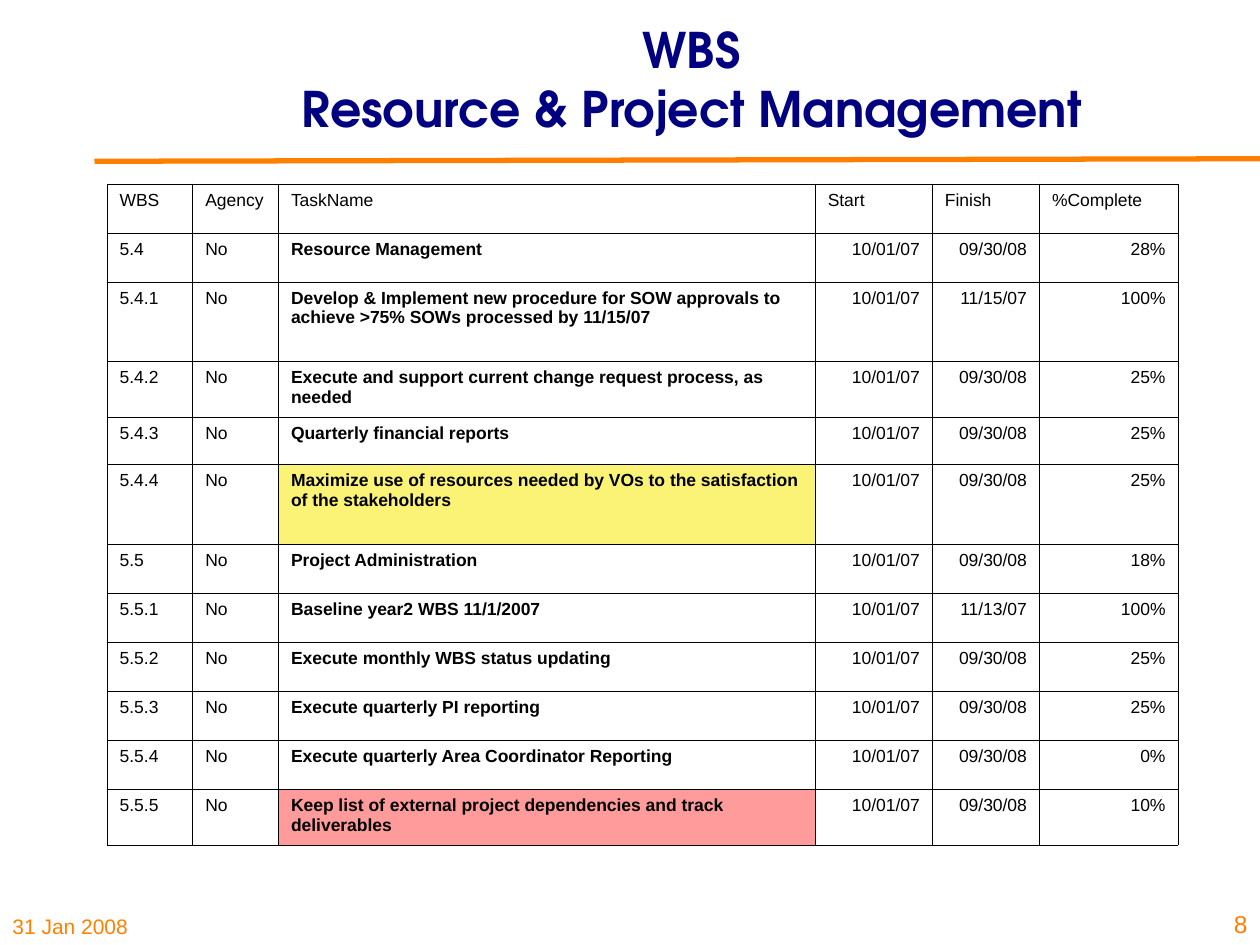
from lxml.etree import SubElement
from pptx import Presentation
from pptx.dml.color import RGBColor
from pptx.enum.shapes import MSO_CONNECTOR
from pptx.enum.text import MSO_ANCHOR, PP_ALIGN
from pptx.oxml.ns import qn
from pptx.util import Inches, Pt

ORANGE = RGBColor(0xFF, 0x80, 0x00)
NAVY = RGBColor(0x00, 0x00, 0x80)
BLACK = RGBColor(0x00, 0x00, 0x00)
YELLOW = RGBColor(0xFB, 0xF3, 0x76)
PINK = RGBColor(0xFF, 0x9B, 0x9B)

HEADINGS = ("WBS", "Agency", "TaskName", "Start", "Finish", "%Complete")
START = "10/01/07"
YEAR_END = "09/30/08"
# WBS number, task, finish, complete, row height, highlight
TASKS = [
    ("5.4", "Resource Management", YEAR_END, "28%", 0.39, None),
    ("5.4.1", "Develop & Implement new procedure for SOW approvals to "
     "achieve >75% SOWs processed by 11/15/07", "11/15/07", "100%", 0.63, None),
    ("5.4.2", "Execute and support current change request process, as needed",
     YEAR_END, "25%", 0.44, None),
    ("5.4.3", "Quarterly financial reports", YEAR_END, "25%", 0.38, None),
    ("5.4.4", "Maximize use of resources needed by VOs to the satisfaction "
     "of the stakeholders", YEAR_END, "25%", 0.63, YELLOW),
    ("5.5", "Project Administration", YEAR_END, "18%", 0.39, None),
    ("5.5.1", "Baseline year2 WBS 11/1/2007", "11/13/07", "100%", 0.39, None),
    ("5.5.2", "Execute monthly WBS status updating", YEAR_END, "25%", 0.39, None),
    ("5.5.3", "Execute quarterly PI reporting", YEAR_END, "25%", 0.39, None),
    ("5.5.4", "Execute quarterly Area Coordinator Reporting", YEAR_END, "0%", 0.39, None),
    ("5.5.5", "Keep list of external project dependencies and track deliverables",
     YEAR_END, "10%", 0.44, PINK),
]
COLUMN_WIDTHS = (0.68, 0.68, 4.26, 0.93, 0.85, 1.1)
HEADING_HEIGHT = 0.39
TASK_COLUMN = 2


def add_text(page, text, left, top, width, height, size, color,
             font="Arial", bold=False, align=PP_ALIGN.LEFT, anchor=MSO_ANCHOR.BOTTOM):
    box = page.shapes.add_textbox(Inches(left), Inches(top), Inches(width), Inches(height))
    frame = box.text_frame
    frame.word_wrap = True
    frame.vertical_anchor = anchor
    paragraph = frame.paragraphs[0]
    paragraph.text = text
    paragraph.alignment = align
    paragraph.font.name = font
    paragraph.font.size = Pt(size)
    paragraph.font.bold = bold
    paragraph.font.color.rgb = color


def add_borders(cell):
    properties = cell._tc.get_or_add_tcPr()
    for side in ("a:lnL", "a:lnR", "a:lnT", "a:lnB"):
        line = SubElement(properties, qn(side), w=str(Pt(0.45)))
        fill = SubElement(line, qn("a:solidFill"))
        SubElement(fill, qn("a:srgbClr"), val=str(BLACK))


deck = Presentation()
deck.slide_width = Inches(10)
deck.slide_height = Inches(7.5)
page = deck.slides.add_slide(deck.slide_layouts[6])

add_text(page, "31 Jan 2008", 0, 7.08, 2.48, 0.42, 12, ORANGE)

rule = page.shapes.add_connector(
    MSO_CONNECTOR.STRAIGHT, Inches(0.75), Inches(1.28), Inches(10), Inches(1.26))
rule.line.color.rgb = ORANGE
rule.line.width = Pt(3)
SubElement(rule._element.spPr, qn("a:effectLst"))

add_text(page, "WBS\vResource & Project Management", 1.69, 0, 7.6, 1.25, 28, NAVY,
         font="TeX Gyre Adventor", bold=True, align=PP_ALIGN.CENTER,
         anchor=MSO_ANCHOR.MIDDLE)

heights = [HEADING_HEIGHT] + [task[4] for task in TASKS]
table = page.shapes.add_table(
    len(heights), len(COLUMN_WIDTHS), Inches(0.85), Inches(1.46),
    Inches(sum(COLUMN_WIDTHS)), Inches(sum(heights))).table
table.first_row = False
table.horz_banding = False
for column, width in zip(table.columns, COLUMN_WIDTHS):
    column.width = Inches(width)
for row, height in zip(table.rows, heights):
    row.height = Inches(height)

rows = [(HEADINGS, None)]
for number, task, finish, complete, _, highlight in TASKS:
    rows.append(((number, "No", task, START, finish, complete), highlight))

for row_index, (values, highlight) in enumerate(rows):
    for column_index, value in enumerate(values):
        cell = table.cell(row_index, column_index)
        add_borders(cell)
        is_task = row_index > 0 and column_index == TASK_COLUMN
        if is_task and highlight:
            cell.fill.solid()
            cell.fill.fore_color.rgb = highlight
        else:
            cell.fill.background()
        paragraph = cell.text_frame.paragraphs[0]
        paragraph.text = value
        if row_index > 0 and column_index > TASK_COLUMN:
            paragraph.alignment = PP_ALIGN.RIGHT
        paragraph.font.name = "Arial"
        paragraph.font.size = Pt(10)
        paragraph.font.bold = is_task
        paragraph.font.color.rgb = BLACK

add_text(page, "8", 9.54, 7, 0.46, 0.5, 14, ORANGE, align=PP_ALIGN.RIGHT)

deck.save("out.pptx")
